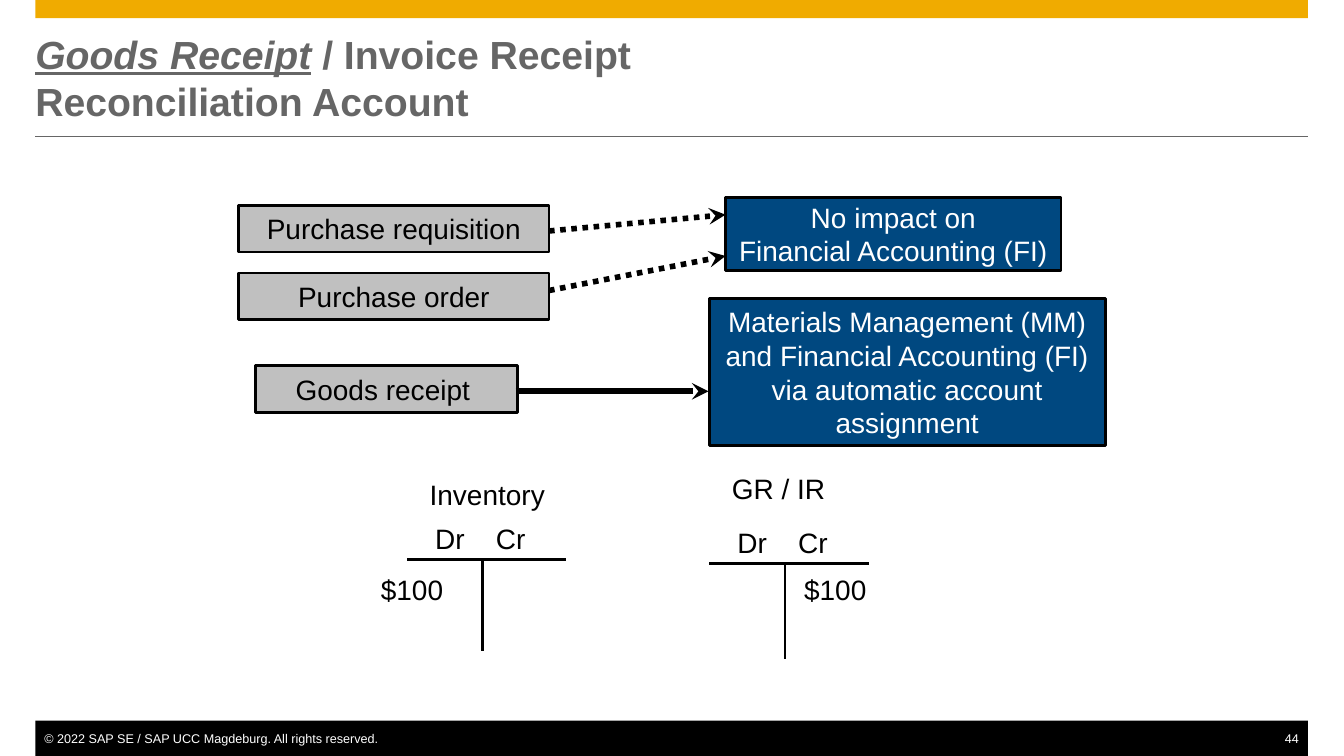
"""Build the goods receipt slide with its two T-accounts."""
from dataclasses import dataclass

import pptx
import pptx.dml.color
import pptx.enum.dml
import pptx.enum.shapes
import pptx.enum.text
import pptx.oxml.ns
import pptx.util
from lxml import etree

Cm = pptx.util.Cm
Pt = pptx.util.Pt
Align = pptx.enum.text.PP_ALIGN
Anchor = pptx.enum.text.MSO_ANCHOR


@dataclass(frozen=True)
class Theme:
    """Hold the colours, font and type sizes."""
    font: str = "Arial"
    gold: str = "F0AB00"
    grey: str = "666666"
    silver: str = "C0C0C0"
    blue: str = "004880"
    black: str = "000000"
    white: str = "FFFFFF"
    title: int = 28
    text: int = 20
    small: int = 9


THEME = Theme()


def tint(code):
    """Turn a hex code into a colour."""
    return pptx.dml.color.RGBColor.from_string(code)


def style(para, size, color, align):
    """Set the font and alignment of a paragraph."""
    para.alignment = align
    para.font.name = THEME.font
    para.font.size = Pt(size)
    para.font.color.rgb = tint(color)


def write(frame, text, size, color, align, wrap, inset):
    """Fill a text frame, one paragraph per line."""
    frame.word_wrap = wrap
    frame.margin_left = frame.margin_right = Cm(inset)
    frame.margin_top = frame.margin_bottom = Cm(inset / 2)
    frame.text = text
    for para in frame.paragraphs:
        style(para, size, color, align)


def add_bar(slide, place, fill):
    """Add a plain filled rectangle."""
    kind = pptx.enum.shapes.MSO_SHAPE.RECTANGLE
    bar = slide.shapes.add_shape(kind, *map(Cm, place))
    bar.shadow.inherit = False
    bar.fill.solid()
    bar.fill.fore_color.rgb = tint(fill)
    bar.line.fill.background()
    return bar


def add_box(slide, place, text, fill, color, wrap=True):
    """Add an outlined box with centred text."""
    box = add_bar(slide, place, fill)
    box.line.color.rgb = tint(THEME.black)
    box.line.width = Pt(2)
    box.text_frame.vertical_anchor = Anchor.MIDDLE
    write(box.text_frame, text, THEME.text, color, Align.CENTER, wrap, 0.25)


def add_label(slide, place, text, size, color, align=Align.LEFT):
    """Add a text box without margins."""
    label = slide.shapes.add_textbox(*map(Cm, place))
    write(label.text_frame, text, size, color, align, True, 0)


def add_line(slide, start, end, width, color=THEME.black):
    """Add a straight line without shadow."""
    kind = pptx.enum.shapes.MSO_CONNECTOR.STRAIGHT
    line = slide.shapes.add_connector(kind, *map(Cm, start + end))
    line.line.color.rgb = tint(color)
    line.line.width = Pt(width)
    props = line._element.spPr
    etree.SubElement(props, pptx.oxml.ns.qn("a:effectLst"))
    return line


def add_arrow(slide, start, end, dotted):
    """Add a thick arrow, dotted on request."""
    arrow = add_line(slide, start, end, 4)
    if dotted:
        arrow.line.dash_style = pptx.enum.dml.MSO_LINE.ROUND_DOT
    stroke = arrow.line._get_or_add_ln()
    etree.SubElement(stroke, pptx.oxml.ns.qn("a:tailEnd"), type="stealth")


def add_ledger(slide, left, top, stem, name, name_top, shift):
    """Add a T-account with its name and one amount."""
    mid = left + 1.91
    add_line(slide, (left, top), (left + 4.02, top), 2)
    add_line(slide, (mid, top), (mid, top + stem), 2)
    labels = [
        (name, 0.57, name_top, 3.6),
        ("Dr", 0.71, top - 0.95, 1.2),
        ("Cr", 2.24, top - 0.95, 1.2),
        ("$100", shift, 14.43, 2),
    ]
    for text, step, high, width in labels:
        place = (left + step, high, width, 0.81)
        add_label(slide, place, text, THEME.text, THEME.black)


def set_title(slide):
    """Place and format the title."""
    title = slide.shapes.title
    title.left, title.top, title.width, title.height = map(
        Cm, (0.89, 0.89, 32.08, 2.11))
    frame = title.text_frame
    write(frame, "", THEME.title, THEME.grey, Align.LEFT, True, 0)
    frame.auto_size = pptx.enum.text.MSO_AUTO_SIZE.NONE
    frame.vertical_anchor = Anchor.MIDDLE
    para = frame.paragraphs[0]
    para.font.bold = True
    lead = para.add_run()
    lead.text = "Goods Receipt"
    lead.font.italic = lead.font.underline = True
    para.add_run().text = " / Invoice Receipt"
    para.add_line_break()
    para.add_run().text = "Reconciliation Account"


def add_frame(slide):
    """Add the top bar, title rule and footer."""
    add_bar(slide, (0.89, 0, 32.08, 0.46), THEME.gold)
    add_line(slide, (0.89, 3.43), (32.97, 3.43), 0.5, THEME.grey)
    add_bar(slide, (0.89, 18.16, 32.08, 0.89), THEME.black)
    add_label(slide, (1.12, 18.42, 12, 0.38),
              "© 2022 SAP SE / SAP UCC Magdeburg. All rights reserved.",
              THEME.small, THEME.white)
    add_label(slide, (31.74, 18.42, 1, 0.38), "44",
              THEME.small, THEME.white, Align.RIGHT)


def main():
    """Build and save the slide."""
    deck = pptx.Presentation()
    deck.slide_width, deck.slide_height = Cm(33.88), Cm(19.05)
    slide = deck.slides.add_slide(deck.slide_layouts[5])
    add_frame(slide)
    set_title(slide)

    steps = [
        ("Purchase requisition", 6.02, 5.18, 7.82),
        ("Purchase order", 6.02, 6.88, 7.82),
        ("Goods receipt ", 6.45, 9.22, 6.6),
    ]
    for text, left, top, width in steps:
        place = (left, top, width, 1.17)
        add_box(slide, place, text, THEME.silver, THEME.black)

    add_box(slide, (17.88, 7.52, 9.98, 3.71),
            "Materials Management (MM) and Financial Accounting (FI)\n"
            "via automatic account assignment", THEME.blue, THEME.white)
    add_box(slide, (18.29, 4.98, 8.46, 1.83),
            "No impact on\nFinancial Accounting (FI)",
            THEME.blue, THEME.white, wrap=False)

    add_arrow(slide, (13.84, 5.82), (18.29, 5.41), True)
    add_arrow(slide, (13.84, 7.32), (18.29, 6.45), True)
    add_arrow(slide, (13, 9.86), (17.86, 9.86), False)

    add_ledger(slide, 10.26, 14.1, 2.31, "Inventory", 12.04, -0.66)
    add_ledger(slide, 17.88, 14.2, 2.41, "GR / IR", 11.89, 2.39)
    deck.save("out.pptx")


if __name__ == "__main__":
    main()
